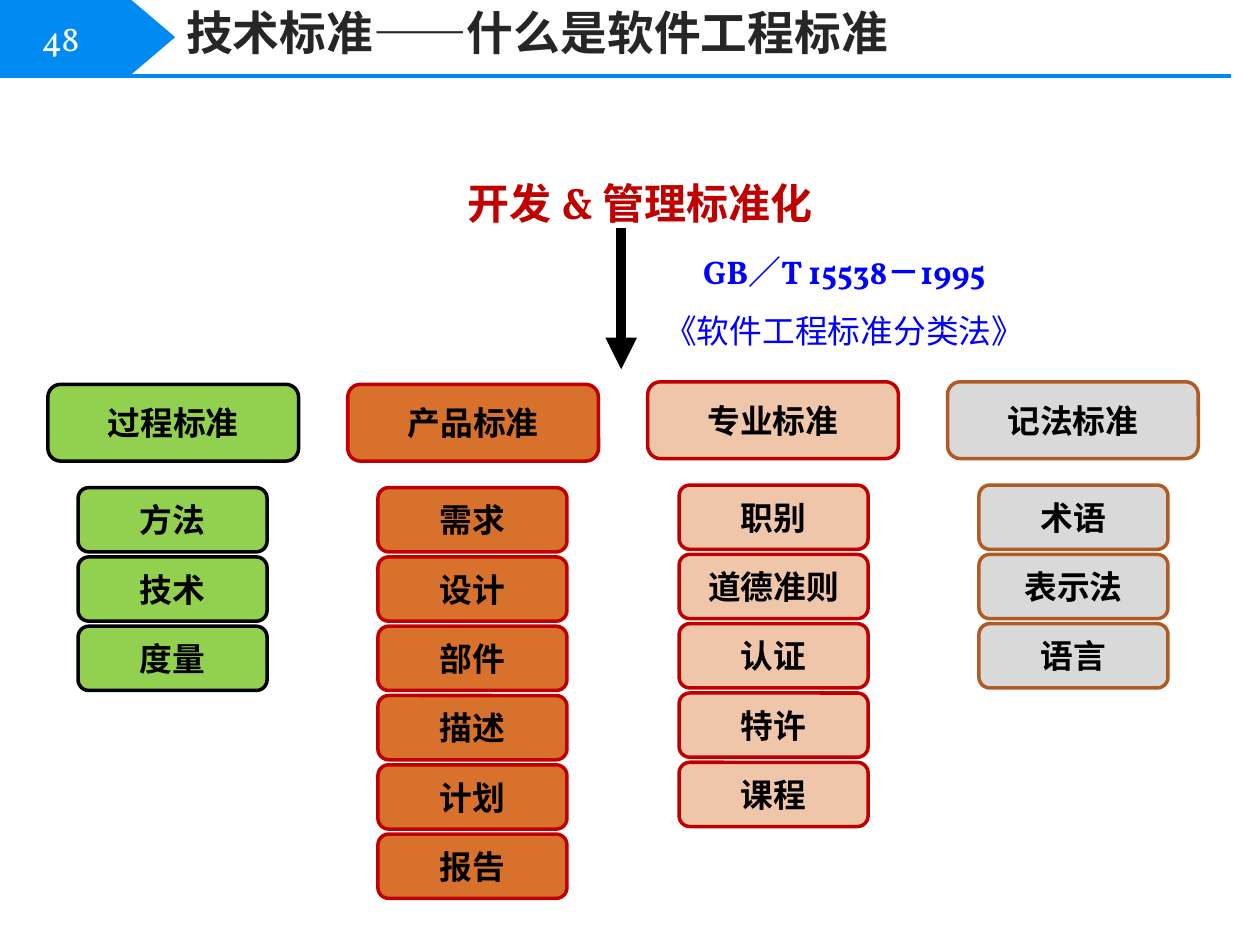
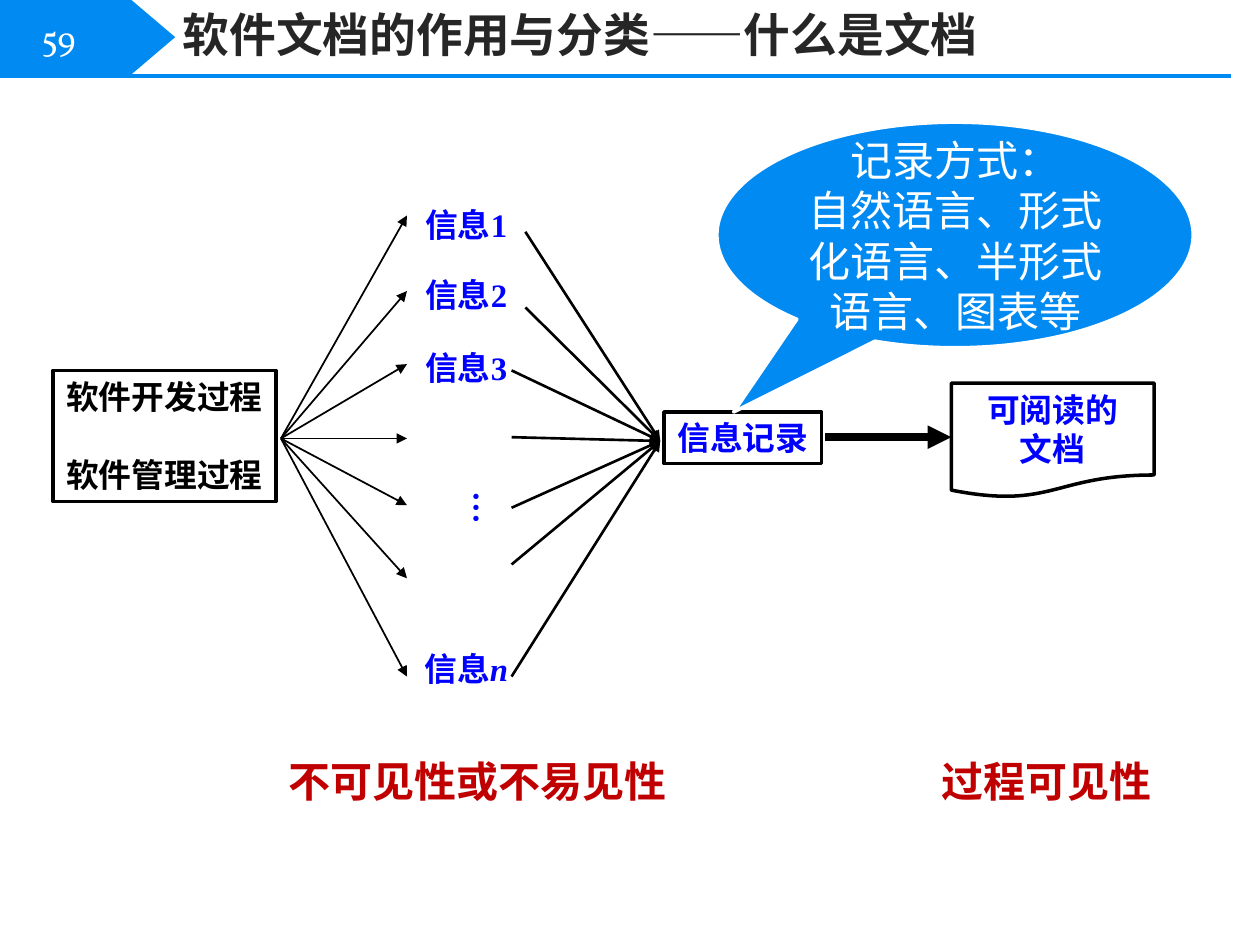
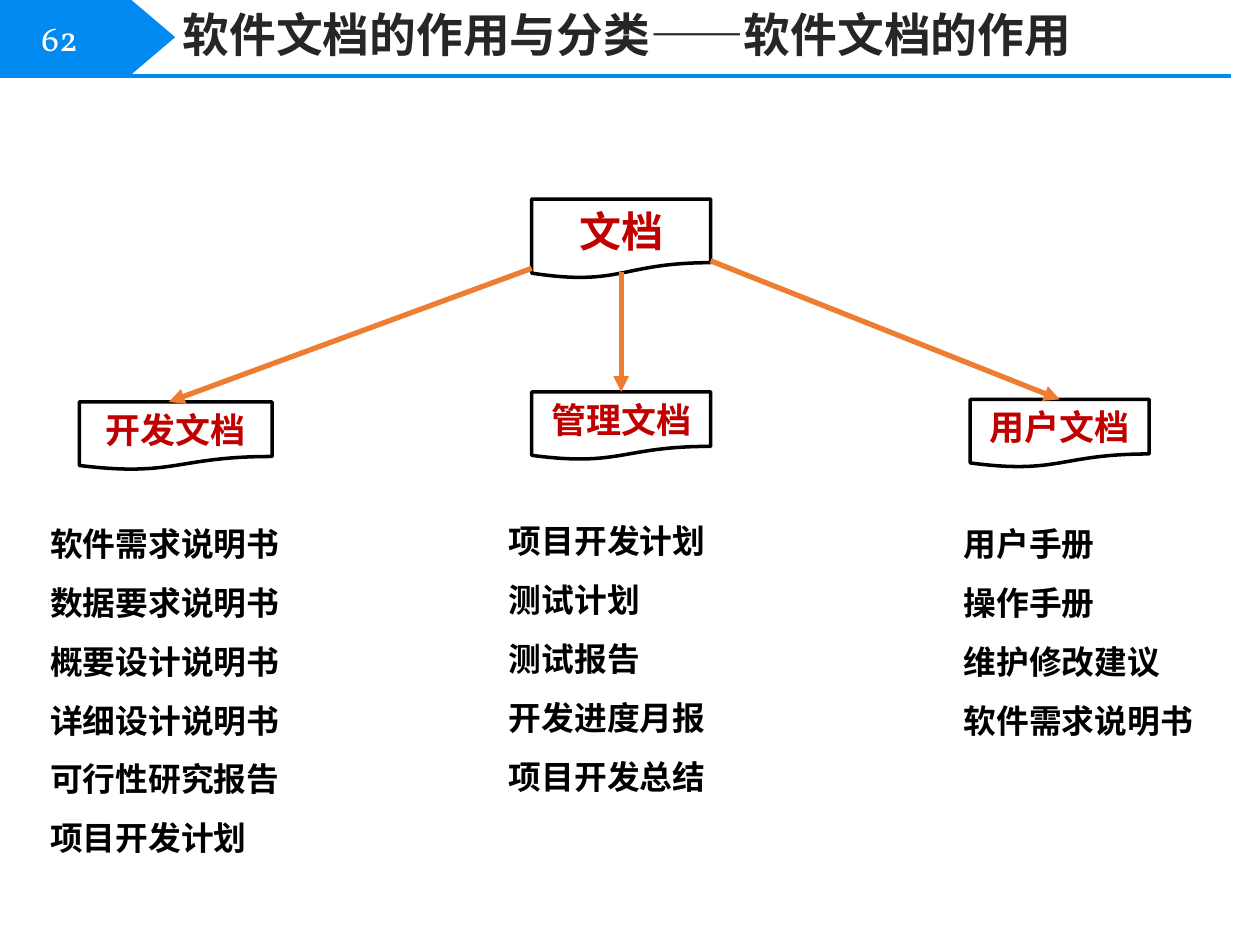
from dataclasses import dataclass

import pptx
import pptx.dml.color
import pptx.enum.shapes
import pptx.enum.text
import pptx.oxml.ns
import pptx.shapes.base
import pptx.slide
import pptx.util
from lxml import etree

RGBColor = pptx.dml.color.RGBColor
SHAPE = pptx.enum.shapes.MSO_SHAPE
ALIGN = pptx.enum.text.PP_ALIGN
ANCHOR = pptx.enum.text.MSO_ANCHOR
AUTO_SIZE = pptx.enum.text.MSO_AUTO_SIZE

PX = 9144  # EMU per px, 100 px to the inch

# Colours
SKY = RGBColor(0x00, 0x8A, 0xF2)
WHITE = RGBColor(0xFF, 0xFF, 0xFF)
BLACK = RGBColor(0x00, 0x00, 0x00)
CHARCOAL = RGBColor(0x26, 0x26, 0x26)
CRIMSON = RGBColor(0xC0, 0x00, 0x00)
BLUE = RGBColor(0x00, 0x00, 0xFF)
ORANGE = RGBColor(0xED, 0x7D, 0x31)
GREEN = RGBColor(0x92, 0xD0, 0x50)
RUST = RGBColor(0xD7, 0x71, 0x2B)
PEACH = RGBColor(0xEF, 0xC6, 0xAA)
SILVER = RGBColor(0xD9, 0xD9, 0xD9)
BROWN = RGBColor(0xAF, 0x5C, 0x24)

# Fonts
SANS = "Noto Sans CJK SC"
TIMES = "Times New Roman"
VOLLKORN = "Vollkorn"


@dataclass(frozen=True)
class Box:
    left: int
    top: int
    width: int
    height: int

    def emu(self) -> tuple[int, ...]:
        return tuple(v * PX for v in (self.left, self.top, self.width, self.height))


@dataclass(frozen=True)
class Style:
    size: float
    font: str
    color: RGBColor
    bold: bool = True
    align: ALIGN = ALIGN.CENTER
    spacing: float | None = None
    indent: int = 0


@dataclass(frozen=True)
class Standard:
    """A column of standards: a heading box above its member boxes."""
    heading: str
    members: list[str]
    top: int
    member_left: int
    fill: RGBColor
    border: RGBColor


@dataclass(frozen=True)
class Family:
    """A kind of document with the list of documents below it."""
    heading: str
    sheet: Box
    listing: Box
    documents: list[str]
    branch: tuple[int, int, int, int]


TITLE = Style(26.7, SANS, CHARCOAL, align=ALIGN.LEFT)
PAGE_NUMBER = Style(20, VOLLKORN, WHITE, bold=False, align=ALIGN.LEFT)
LABEL = Style(18.7, SANS, BLACK)
PROCESS = Style(18.7, TIMES, BLACK)
INFORMATION = Style(18.7, TIMES, BLUE)
VERDICT = Style(24, TIMES, CRIMSON)
KIND = Style(20, TIMES, CRIMSON)
LISTING = Style(18.7, TIMES, BLACK, align=ALIGN.LEFT, spacing=1.5, indent=19)


# Drawing helpers
def write(shape: pptx.shapes.base.BaseShape, text: str, style: Style,
          anchor: ANCHOR = ANCHOR.TOP, grow: bool = True, wrap: bool = True) -> None:
    frame = shape.text_frame
    frame.text = text
    frame.word_wrap = wrap
    frame.vertical_anchor = anchor
    frame.auto_size = AUTO_SIZE.SHAPE_TO_FIT_TEXT if grow else AUTO_SIZE.NONE
    for paragraph in frame.paragraphs:
        paragraph.alignment = style.align
        if style.spacing:
            paragraph.line_spacing = style.spacing
        if style.indent:
            properties = paragraph._p.get_or_add_pPr()
            properties.set("marL", str(style.indent * PX))
            properties.set("indent", "0")
        for run in paragraph.runs:
            run.font.size = pptx.util.Pt(style.size)
            run.font.name = style.font
            run.font.bold = style.bold
            run.font.color.rgb = style.color


def add_text(slide: pptx.slide.Slide, box: Box, text: str, style: Style,
             anchor: ANCHOR = ANCHOR.TOP, grow: bool = True,
             wrap: bool = True) -> pptx.shapes.base.BaseShape:
    shape = slide.shapes.add_textbox(*box.emu())
    write(shape, text, style, anchor, grow, wrap)
    return shape


def add_box(slide: pptx.slide.Slide, kind: SHAPE, box: Box, fill: RGBColor = WHITE,
            border: RGBColor | None = BLACK) -> pptx.shapes.base.BaseShape:
    shape = slide.shapes.add_shape(kind, *box.emu())
    shape.shadow.inherit = False
    shape.fill.solid()
    shape.fill.fore_color.rgb = fill
    if border is None:
        shape.line.fill.background()
    else:
        shape.line.color.rgb = border
        shape.line.width = pptx.util.Pt(2)
    return shape


def add_line(slide: pptx.slide.Slide, ends: tuple[int, int, int, int], color: RGBColor,
             width: float, arrow: bool = True) -> None:
    line = slide.shapes.add_connector(pptx.enum.shapes.MSO_CONNECTOR.STRAIGHT,
                                      *(v * PX for v in ends))
    line.line.color.rgb = color
    line.line.width = pptx.util.Pt(width)
    if arrow:
        tail = etree.SubElement(line.line._get_or_add_ln(), pptx.oxml.ns.qn("a:tailEnd"))
        tail.set("type", "triangle")
    etree.SubElement(line.element.spPr, pptx.oxml.ns.qn("a:effectLst"))


def add_page(deck: pptx.presentation.Presentation, number: int, title: str,
             title_box: Box) -> pptx.slide.Slide:
    """Add a blank slide with the shared header band, page number and title."""
    slide = deck.slides.add_slide(deck.slide_layouts[6])
    add_line(slide, (0, 60, 977, 60), SKY, 2.25, arrow=False)
    band = add_box(slide, SHAPE.PENTAGON, Box(0, 0, 139, 59), SKY, None)
    band.adjustments[0] = 0.588
    add_text(slide, Box(23, 7, 93, 46), str(number), PAGE_NUMBER, ANCHOR.MIDDLE, grow=False)
    add_text(slide, title_box, title, TITLE, wrap=False)
    return slide


# Slide 1: classes of software engineering standards
STANDARDS = [
    Standard("过程标准", ["方法", "技术", "度量"], 305, 62, GREEN, BLACK),
    Standard("产品标准", ["需求", "设计", "部件", "描述", "计划", "报告"],
             305, 300, RUST, CRIMSON),
    Standard("专业标准", ["职别", "道德准则", "认证", "特许", "课程"],
             303, 539, PEACH, CRIMSON),
    Standard("记法标准", ["术语", "表示法", "语言"], 303, 777, SILVER, BROWN),
]


def build_standards(deck: pptx.presentation.Presentation) -> None:
    slide = add_page(deck, 48, "技术标准——什么是软件工程标准", Box(138, -2, 586, 55))
    add_text(slide, Box(304, 116, 408, 71), "开发 & 管理标准化",
             Style(24, VOLLKORN, CRIMSON, spacing=1.5))
    code = add_text(slide, Box(481, 179, 378, 99), "GB／T 15538－1995\n《软件工程标准分类法》",
                    Style(18.7, VOLLKORN, BLUE, spacing=1.5))
    code.text_frame.paragraphs[1].runs[0].font.bold = False
    add_line(slide, (493, 181, 493, 293), BLACK, 6)

    for column, standard in enumerate(STANDARDS):
        boxes = [(standard.heading, Box(38 + 238 * column, standard.top, 199, 61))]
        boxes += [(member, Box(standard.member_left, standard.top + 82 + 55 * row, 150, 51))
                  for row, member in enumerate(standard.members)]
        for text, box in boxes:
            shape = add_box(slide, SHAPE.ROUNDED_RECTANGLE, box, standard.fill, standard.border)
            write(shape, text, LABEL, ANCHOR.MIDDLE, grow=False)


# Slide 2: from process information to readable documents
FAN_OUT_ENDS = [171, 231, 289, 348, 401, 459, 537]
FAN_IN_STARTS = [(417, 184), (417, 244), (406, 294), (406, 347),
                 (406, 403), (406, 448), (406, 537)]
INFORMATION_TOPS = {"信息1": 158, "信息2": 213, "信息3": 271, "信息n": 510}


def build_document_meaning(deck: pptx.presentation.Presentation) -> None:
    slide = add_page(deck, 59, "软件文档的作用与分类——什么是文档", Box(135, 0, 661, 55))
    processes = add_box(slide, SHAPE.RECTANGLE, Box(42, 294, 177, 104))
    write(processes, "软件开发过程\n软件管理过程", PROCESS, wrap=False)
    processes.text_frame.paragraphs[1].space_before = pptx.util.Pt(22.4)

    for end in FAN_OUT_ENDS:
        add_line(slide, (223, 348, 323, end), BLACK, 1)
    for text, top in INFORMATION_TOPS.items():
        information = add_text(slide, Box(291, top, 158, 41), text, INFORMATION)
    # The last label ends in an italic n
    last = information.text_frame.paragraphs[0]
    last.runs[0].text = "信息"
    index = last.add_run()
    index.text = "n"
    index.font.size = pptx.util.Pt(INFORMATION.size)
    index.font.name = INFORMATION.font
    index.font.color.rgb = INFORMATION.color
    index.font.bold = index.font.italic = True

    ellipsis = add_text(slide, Box(355, 380, 52, 45), "…", INFORMATION)
    ellipsis.element.txBody.bodyPr.set("vert", "eaVert")
    for start in FAN_IN_STARTS:
        add_line(slide, (*start, 524, 350), BLACK, 1.5)

    record = add_box(slide, SHAPE.RECTANGLE, Box(527, 327, 125, 41))
    write(record, "信息记录", INFORMATION, wrap=False)
    readable = add_box(slide, SHAPE.FLOWCHART_DOCUMENT, Box(755, 304, 161, 91))
    write(readable, "可阅读的\n文档", INFORMATION)
    add_line(slide, (655, 347, 755, 347), BLACK, 4.5)

    add_text(slide, Box(209, 595, 340, 50), "不可见性或不易见性", VERDICT)
    add_text(slide, Box(714, 595, 233, 50), "过程可见性", VERDICT)

    methods = add_box(slide, SHAPE.OVAL_CALLOUT, Box(569, 97, 378, 179), SKY, WHITE)
    methods.adjustments[0] = -0.465
    methods.adjustments[1] = 0.785
    write(methods, "记录方式：\n自然语言、形式化语言、半形式语言、图表等",
          Style(24, SANS, WHITE, bold=False), ANCHOR.MIDDLE, grow=False)


# Slide 3: families of documents
FAMILIES = [
    Family("开发文档", Box(63, 319, 153, 54), Box(11, 395, 267, 293),
           ["软件需求说明书", "数据要求说明书", "概要设计说明书",
            "详细设计说明书", "可行性研究报告", "项目开发计划"], (422, 213, 134, 319)),
    Family("管理文档", Box(422, 311, 142, 54), Box(375, 393, 214, 246),
           ["项目开发计划", "测试计划", "测试报告", "开发进度月报", "项目开发总结"],
           (493, 216, 493, 311)),
    Family("用户文档", Box(770, 317, 142, 54), Box(736, 395, 253, 199),
           ["用户手册", "操作手册", "维护修改建议", "软件需求说明书"], (564, 207, 841, 317)),
]


def build_document_families(deck: pptx.presentation.Presentation) -> None:
    slide = add_page(deck, 62, "软件文档的作用与分类——软件文档的作用", Box(135, 0, 736, 55))
    root = add_box(slide, SHAPE.FLOWCHART_DOCUMENT, Box(422, 158, 142, 63))
    write(root, "文档", VERDICT)
    for family in FAMILIES:
        sheet = add_box(slide, SHAPE.FLOWCHART_DOCUMENT, family.sheet)
        write(sheet, family.heading, KIND)
        add_line(slide, family.branch, ORANGE, 3)
        add_text(slide, family.listing, "\n".join(family.documents), LISTING)


def main() -> None:
    deck = pptx.Presentation()
    deck.slide_width = 1000 * PX
    deck.slide_height = 750 * PX
    build_standards(deck)
    build_document_meaning(deck)
    build_document_families(deck)
    deck.save("out.pptx")


if __name__ == "__main__":
    main()
